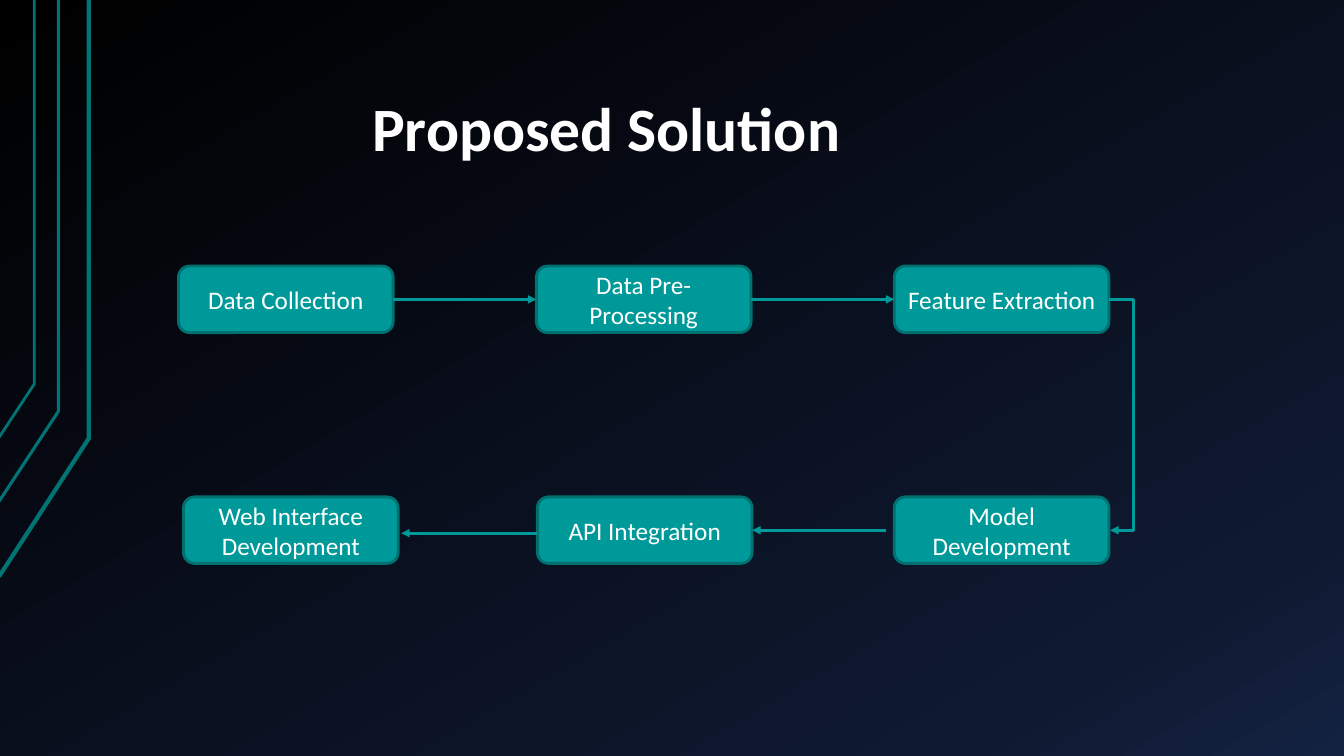
from copy import deepcopy
from pptx import Presentation, util as u
from pptx.dml import color
from pptx.enum import shapes, text
from pptx.oxml import ns
from lxml import etree

SLIDE_W, SLIDE_H = 13.33, 7.5
TEAL, EDGE, RAIL, WHITE = "009999", "007171", "007373", "FFFFFF"
STEP_W, STEP_H = 2.13, 0.66
RAILS = [
    ([(-0.01, 5.72), (0.88, 4.35), (0.88, 0)], 3),
    ([(-0.02, 4.99), (0.58, 4.08), (0.58, 0)], 2.25),
    ([(-0.01, 4.34), (0.34, 3.81), (0.34, 0)], 2),
]
STEPS = [
    ("Data Collection", 0, 0, 0),
    ("Data Pre-Processing", 1, 0, 0),
    ("Feature Extraction", 2, 0, 0),
    ("Model Development", 2, 1, 0),
    ("API Integration", 1, 1, 0.01),
    ("Web Interface Development", 0, 1, 0.05),
]


def rgb(value):
    return color.RGBColor.from_string(value)


def style_text(p, size, bold=False):
    for r in p.runs:
        r.font.name = "Calibri"
        r.font.size = u.Pt(size)
        r.font.bold = bold
        r.font.color.rgb = rgb(WHITE)


def style_line(line, value, width):
    line.color.rgb = rgb(value)
    line.width = u.Pt(width)


def paint_background(s):
    fill = s.background.fill
    fill.gradient()
    fill.gradient_angle = 300
    stop_list = next(s.element.iter(ns.qn("a:gsLst")))
    stop_list.append(deepcopy(stop_list[-1]))
    stops = [(0, "000000"), (0.85, "0F1931"), (1, "142242")]
    for stop, (position, value) in zip(fill.gradient_stops, stops):
        stop.position = position
        stop.color.rgb = rgb(value)


def draw_rails(s):
    for points, width in RAILS:
        scaled = [(u.Inches(x), u.Inches(y)) for x, y in points]
        builder = s.shapes.build_freeform(*scaled[0])
        builder.add_line_segments(scaled[1:], close=False)
        sp = builder.convert_to_shape()
        sp.shadow.inherit = False
        sp.fill.background()
        style_line(sp.line, RAIL, width)


def place_title(s, left, top, width, height):
    sp = s.shapes.title
    sp.left, sp.top = u.Inches(left), u.Inches(top)
    sp.width, sp.height = u.Inches(width), u.Inches(height)
    tf = sp.text_frame
    tf.text = "Proposed Solution"
    tf.vertical_anchor = text.MSO_ANCHOR.TOP
    p = tf.paragraphs[0]
    p.alignment = text.PP_ALIGN.LEFT
    style_text(p, 44, True)


def add_step(s, label, x, y):
    sp = s.shapes.add_shape(
        shapes.MSO_SHAPE.FLOWCHART_ALTERNATE_PROCESS,
        u.Inches(x), u.Inches(y), u.Inches(STEP_W), u.Inches(STEP_H))
    sp.shadow.inherit = False
    sp.fill.solid()
    sp.fill.fore_color.rgb = rgb(TEAL)
    style_line(sp.line, EDGE, 2)
    tf = sp.text_frame
    tf.text = label
    tf.word_wrap = True
    tf.vertical_anchor = text.MSO_ANCHOR.MIDDLE
    p = tf.paragraphs[0]
    p.alignment = text.PP_ALIGN.CENTER
    style_text(p, 18)


def add_arrow(s, start, end, kind=shapes.MSO_CONNECTOR.STRAIGHT):
    sp = s.shapes.add_connector(kind, *(u.Inches(v) for v in start + end))
    style_line(sp.line, TEAL, 2)
    properties = sp.element.spPr
    etree.SubElement(properties.find(ns.qn("a:ln")), ns.qn("a:tailEnd"), type="triangle")
    etree.SubElement(properties, ns.qn("a:effectLst"))
    return sp


def add_turn(s, start, end, reach):
    sp = add_arrow(s, start, end, shapes.MSO_CONNECTOR.ELBOW)
    guides = next(sp.element.iter(ns.qn("a:prstGeom"))).get_or_add_avLst()
    ratio = round(reach / (end[0] - start[0]) * 100000)
    etree.SubElement(guides, ns.qn("a:gd"), name="adj1", fmla=f"val {ratio}")


def draw_flow(s, left, top, width, height):
    column = (width - STEP_W) / 2
    row = height - STEP_H
    spots = []
    for label, c, r, nudge in STEPS:
        x, y = left + c * column + nudge, top + r * row
        add_step(s, label, x, y)
        spots.append(x)
    upper, lower = top + STEP_H / 2, top + row + STEP_H / 2
    collect, prepare, extract, model, api, web = spots
    for x in (collect, prepare):
        add_arrow(s, (x + STEP_W, upper), (x + column, upper))
    add_turn(s, (extract + STEP_W, upper), (extract + STEP_W + 0.01, lower), 0.25)
    add_arrow(s, (model - 0.08, lower), (api + STEP_W, lower))
    add_arrow(s, (api, lower + 0.03), (web + STEP_W + 0.03, lower + 0.03))


def build_slide(prs):
    s = prs.slides.add_slide(prs.slide_layouts[5])
    paint_background(s)
    draw_rails(s)
    place_title(s, 3.59, 0.84, 6.93, 0.84)
    draw_flow(s, 1.77, 2.64, 9.23, 2.95)


def main():
    prs = Presentation()
    prs.slide_width, prs.slide_height = u.Inches(SLIDE_W), u.Inches(SLIDE_H)
    build_slide(prs)
    prs.save("out.pptx")


if __name__ == "__main__":
    main()
